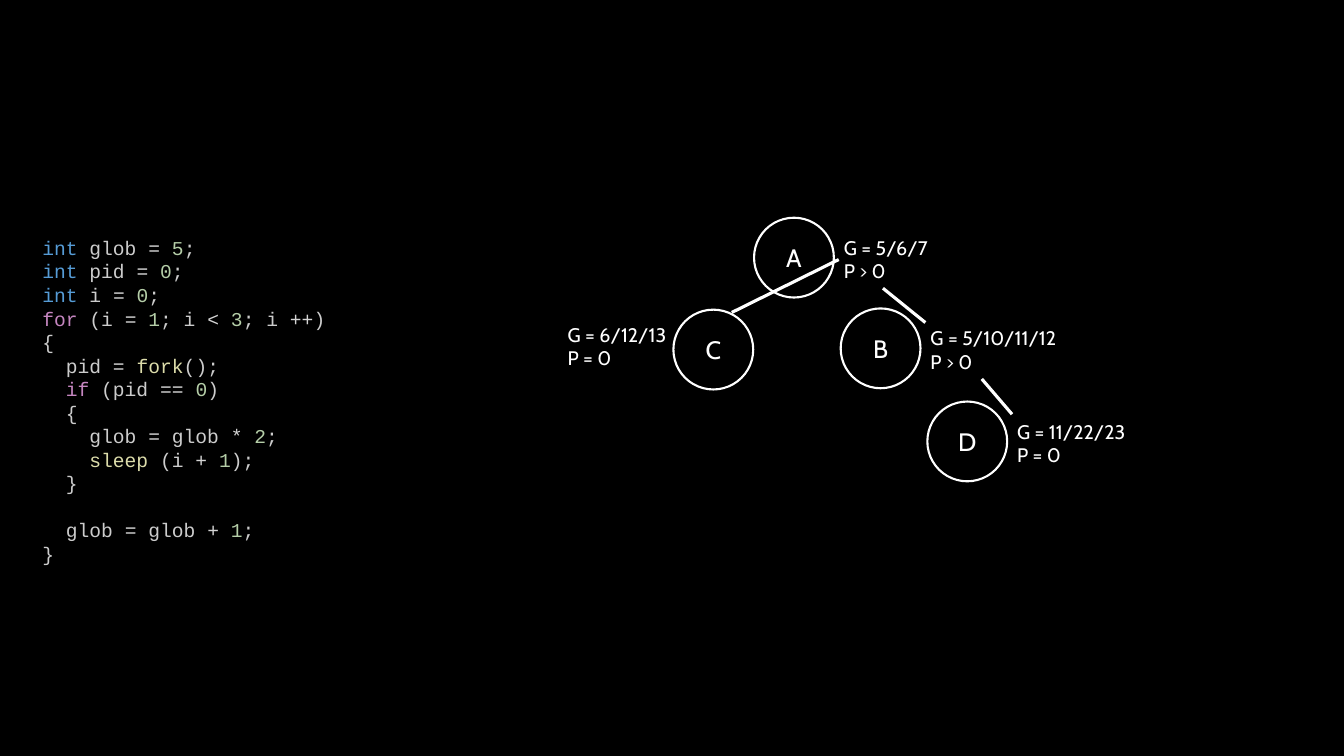
from pptx import Presentation
from pptx.dml.color import RGBColor
from pptx.enum.shapes import MSO_CONNECTOR, MSO_SHAPE
from pptx.enum.text import MSO_ANCHOR, PP_ALIGN
from pptx.oxml.ns import qn
from pptx.util import Pt
from lxml.etree import SubElement

# (nesting depth, tokens split by "|")
CODE = [
    (0, "int| glob |= |5|;"),
    (0, "int| pid |= |0|;"),
    (0, "int| i |= |0|;"),
    (0, "for| (i |= |1|; i |< |3|; i |++|)"),
    (0, "{"),
    (1, "pid |= |fork|();"),
    (1, "if| (pid |== |0|)"),
    (1, "{"),
    (2, "glob |=| glob |* |2|;"),
    (2, "sleep| (i |+ |1|);"),
    (1, "}"),
    (1, "glob |=| glob |+ |1|;"),
    (0, "}"),
]
AFTER_GAP = 11  # index of the line set off by one line of space
TOKEN_KINDS = {
    "type": {"int"},
    "control": {"for", "if"},
    "call": {"fork", "sleep"},
    "operator": {"=", "==", "<", "++", "+", "*"},
}
COLORS = {
    "background": "000000", "white": "FFFFFF", "plain": "CCCCCC",
    "type": "569CD6", "control": "C586C0", "call": "DCDCAA",
    "operator": "D4D4D4", "number": "B5CEA8",
}

# process: circle left, top; label offset from the circle, width; label lines
PROCESSES = {
    "A": ((538.6, 155.5), (60.5, 9.4), 70, ["G = 5/6/7", "P > 0"]),
    "B": ((600.5, 220.3), (60.5, 9), 104, ["G = 5/10/11/12", "P > 0"]),
    "C": ((481, 221.2), (-79.2, 5.8), 86, ["G = 6/12/13", "P = 0"]),
    "D": ((662.4, 286.8), (60.5, 9.4), 92, ["G = 11/22/23", "P = 0"]),
}
# start, end, and the process whose label the end is joined to
FORKS = [
    ((630.7, 205.9), (661, 230.4), None),
    ((522.7, 223.2), (599, 185.4), "A"),
    ((701.3, 270.7), (722.9, 295.9), None),
]
DIAMETER, LABEL_HEIGHT, INSET = 57, 41, 3.6
CODE_SIZE, LINE_PITCH, INDENT = 14, 16.8, 16.8


def rgb(name):
    return RGBColor.from_string(COLORS[name])


def token_color(token):
    word = token.strip()
    if word.isdigit():
        return rgb("number")
    return rgb(next((k for k, words in TOKEN_KINDS.items() if word in words), "plain"))


def set_frame(tf):
    tf.word_wrap = True
    tf.margin_left = tf.margin_right = tf.margin_top = tf.margin_bottom = Pt(INSET)


def set_font(p, name, size, color):
    p.font.name, p.font.size = name, Pt(size)
    p.font.color.rgb = rgb(color)


def add_code(s):
    tf = s.shapes.add_textbox(Pt(26.6), Pt(164.9), Pt(250), Pt(245.5)).text_frame
    set_frame(tf)
    for i, (depth, line) in enumerate(CODE):
        p = tf.paragraphs[0] if i == 0 else tf.add_paragraph()
        p.line_spacing = Pt(LINE_PITCH)
        set_font(p, "Courier New", CODE_SIZE, "plain")
        if depth:
            p._p.get_or_add_pPr().set("marL", str(Pt(depth * INDENT)))
        if i == AFTER_GAP:
            p.space_before = Pt(LINE_PITCH)
        for token in line.split("|"):
            r = p.add_run()
            r.text = token
            r.font.color.rgb = token_color(token)


def add_process(s, name):
    """Draw a lettered circle with its values beside it; return the label."""
    (x, y), (dx, dy), width, lines = PROCESSES[name]
    group = s.shapes.add_group_shape()
    circle = group.shapes.add_shape(MSO_SHAPE.OVAL, Pt(x), Pt(y), Pt(DIAMETER), Pt(DIAMETER))
    circle.shadow.inherit = False
    circle.fill.background()
    circle.line.color.rgb, circle.line.width = rgb("white"), Pt(1.5)
    tf = circle.text_frame
    set_frame(tf)
    tf.vertical_anchor = MSO_ANCHOR.MIDDLE
    p = tf.paragraphs[0]
    p.text, p.alignment = name, PP_ALIGN.CENTER
    set_font(p, "Cabin", 18, "white")

    label = group.shapes.add_textbox(Pt(x + dx), Pt(y + dy), Pt(width), Pt(LABEL_HEIGHT))
    set_frame(label.text_frame)
    label.text_frame.text = "\n".join(lines)
    for p in label.text_frame.paragraphs:
        set_font(p, "Cabin", 14, "white")
    return label


def add_fork(s, start, end, label):
    line = s.shapes.add_connector(MSO_CONNECTOR.STRAIGHT, *map(Pt, start + end))
    line.line.color.rgb, line.line.width = rgb("white"), Pt(2.25)
    SubElement(line._element.spPr, qn("a:effectLst"))
    if label is not None:
        line.end_connect(label, 1)


def main():
    prs = Presentation()
    prs.slide_width, prs.slide_height = Pt(960), Pt(540)
    s = prs.slides.add_slide(prs.slide_layouts[6])
    s.background.fill.solid()
    s.background.fill.fore_color.rgb = rgb("background")
    add_code(s)
    labels = {name: add_process(s, name) for name in PROCESSES}
    for start, end, target in FORKS:
        add_fork(s, start, end, labels.get(target))
    prs.save("out.pptx")


if __name__ == "__main__":
    main()
